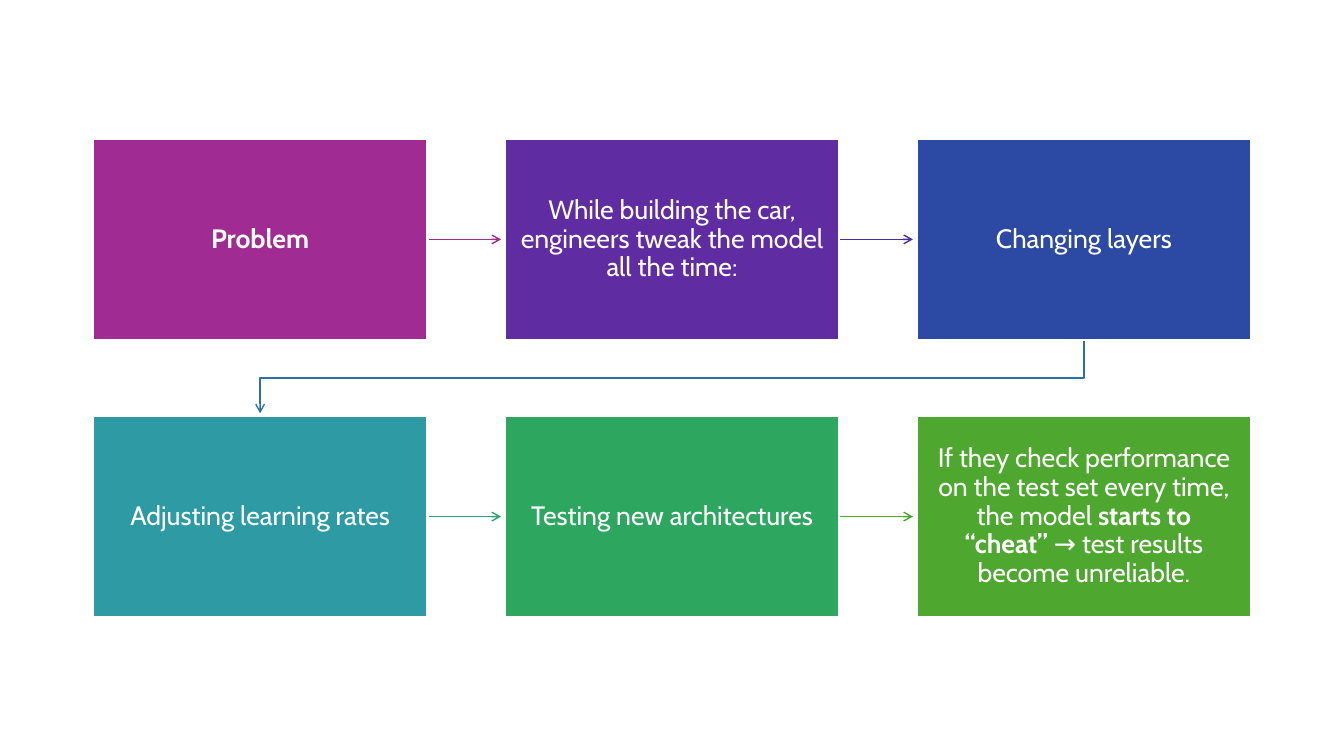
from lxml import etree
from pptx import Presentation, util as u
from pptx.dml.color import RGBColor
from pptx.enum import shapes, text
from pptx.oxml.ns import qn

WHITE = RGBColor(0xFF, 0xFF, 0xFF)
MAGENTA = RGBColor(0xA0, 0x2B, 0x93)
PURPLE = RGBColor(0x5F, 0x2C, 0xA1)
INDIGO = RGBColor(0x4B, 0x2C, 0xA2)
BLUE = RGBColor(0x2C, 0x49, 0xA3)
STEEL = RGBColor(0x2C, 0x71, 0xA4)
TEAL = RGBColor(0x2D, 0x9A, 0xA4)
SEA_GREEN = RGBColor(0x2D, 0xA5, 0x73)
GREEN = RGBColor(0x2D, 0xA6, 0x5F)
LIME = RGBColor(0x4E, 0xA7, 0x2E)

# Grid of steps, three to a row
COLUMNS = 3
LEFT, TOP = u.Inches(0.92), u.Inches(1.38)
STEP_W, STEP_H = u.Inches(3.32), u.Inches(1.99)
PITCH_X, PITCH_Y = u.Inches(4.085), u.Inches(2.75)
ARROW_LENGTH = u.Inches(0.73)

# Each step: fill, colour of the arrow that leaves it, runs of (wording, bold)
steps = [
    (MAGENTA, MAGENTA, [("Problem", True)]),
    (PURPLE, INDIGO, [("While building the car, engineers tweak the model all the time:", False)]),
    (BLUE, STEEL, [("Changing layers", False)]),
    (TEAL, SEA_GREEN, [("Adjusting learning rates", False)]),
    (GREEN, LIME, [("Testing new architectures", False)]),
    (LIME, None, [
        ("If they check performance on the test set every time, the model ", False),
        ("starts to “cheat”", True),
        (" → test results become unreliable.", False),
    ]),
]


def write(paragraph, wording, size=19, bold=False, color=WHITE, font="Cabin"):
    run = paragraph.add_run()
    run.text = wording
    run.font.name = font
    run.font.size = u.Pt(size)
    run.font.bold = bold
    run.font.color.rgb = color


def style_arrow(arrow, color):
    """Give a line its colour, an open head at its end and no shadow."""
    arrow.line.color.rgb = color
    arrow.line.width = u.Pt(1)
    etree.SubElement(arrow.line._get_or_add_ln(), qn("a:tailEnd"), type="arrow")
    etree.SubElement(arrow._element.spPr, qn("a:effectLst"))


deck = Presentation()
deck.slide_width, deck.slide_height = u.Inches(13.33), u.Inches(7.5)
slide = deck.slides.add_slide(deck.slide_layouts[6])

for index, (fill, arrow_color, runs) in enumerate(steps):
    row, column = divmod(index, COLUMNS)
    x, y = LEFT + column * PITCH_X, TOP + row * PITCH_Y
    center_x, middle_y = x + STEP_W // 2, y + STEP_H // 2

    if arrow_color and column < COLUMNS - 1:
        onward = slide.shapes.add_connector(
            shapes.MSO_CONNECTOR.STRAIGHT,
            x + STEP_W, middle_y, x + STEP_W + ARROW_LENGTH, middle_y)
        style_arrow(onward, arrow_color)
    elif arrow_color:
        bottom = y + STEP_H
        turn_y = bottom + (PITCH_Y - STEP_H) // 2
        first_x = LEFT + STEP_W // 2
        route = slide.shapes.build_freeform(center_x, bottom)
        route.add_line_segments(
            [(center_x, turn_y), (first_x, turn_y), (first_x, bottom + ARROW_LENGTH)],
            close=False)
        row_break = route.convert_to_shape()
        row_break.fill.background()
        style_arrow(row_break, arrow_color)

    step = slide.shapes.add_shape(shapes.MSO_SHAPE.RECTANGLE, x, y, STEP_W, STEP_H)
    step.shadow.inherit = False
    step.fill.solid()
    step.fill.fore_color.rgb = fill
    step.line.color.rgb = WHITE
    step.line.width = u.Pt(1.5)

    frame = step.text_frame
    frame.word_wrap = True
    frame.vertical_anchor = text.MSO_ANCHOR.MIDDLE
    frame.margin_left = frame.margin_right = u.Inches(0.16)
    frame.margin_top = frame.margin_bottom = u.Inches(0.17)
    label = frame.paragraphs[0]
    label.alignment = text.PP_ALIGN.CENTER
    label.line_spacing = 0.9
    for wording, bold in runs:
        write(label, wording, bold=bold)

deck.save("out.pptx")
